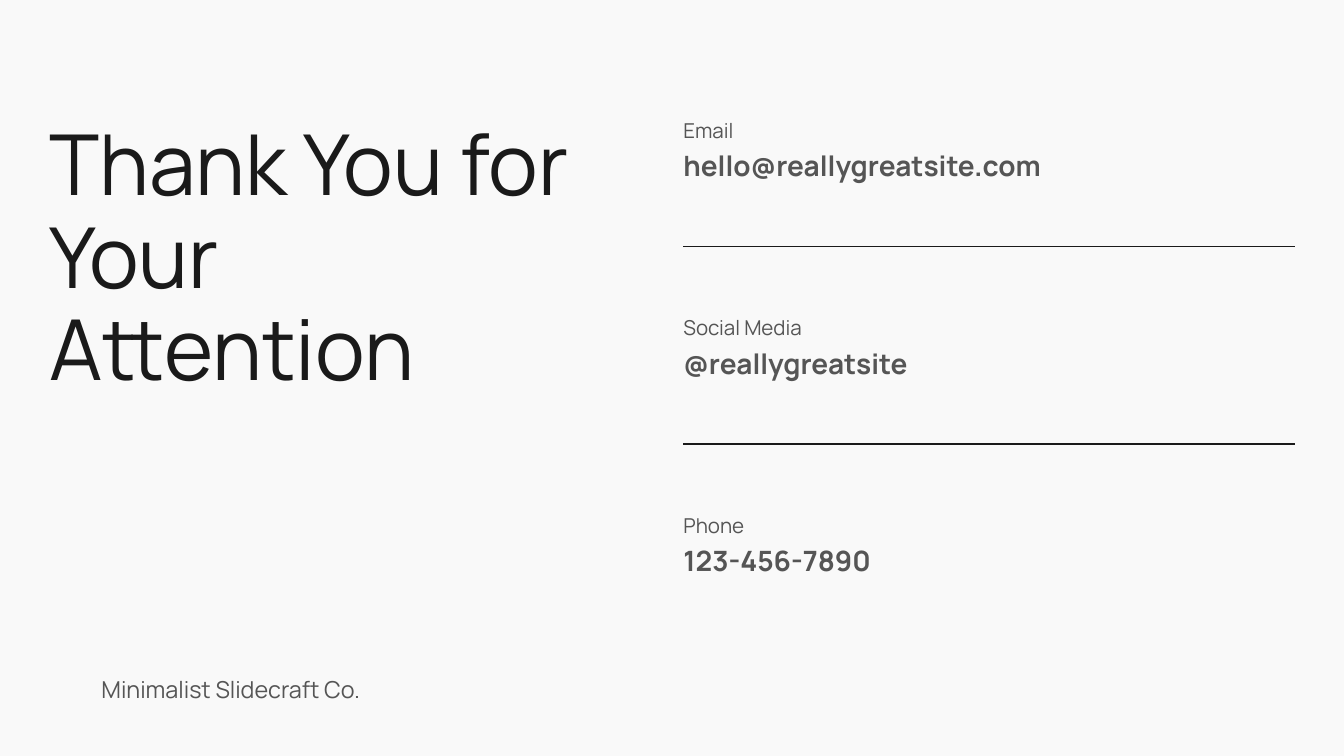
from dataclasses import dataclass

from lxml.etree import SubElement
from pptx import Presentation
from pptx.dml.color import RGBColor
from pptx.enum.shapes import MSO_CONNECTOR
from pptx.enum.text import MSO_ANCHOR, MSO_AUTO_SIZE, PP_ALIGN
from pptx.oxml.ns import qn
from pptx.util import Inches, Pt


@dataclass(frozen=True)
class Style:
    size: float
    leading: float
    color: RGBColor
    bold: bool = False


class Theme:
    font = "Manrope"
    paper = RGBColor(0xF9, 0xF9, 0xF9)
    ink = RGBColor(0x1A, 0x1A, 0x1A)
    gray = RGBColor(0x55, 0x55, 0x55)
    rule_width = Pt(1.5)
    title = Style(90, 99, ink)
    label = Style(22, 30.8, gray)
    value = Style(30, 42, gray, bold=True)
    footer = Style(25, 27.5, gray)


# Grid in inches: two columns inside equal margins, three contact rows
WIDTH, HEIGHT = 20, 11.25
MARGIN = 0.73
CONTACT_LEFT = 10.17
CONTACT_WIDTH = WIDTH - MARGIN - CONTACT_LEFT
FIRST_ROW = 1.69
ROW_PITCH = 2.94
VALUE_OFFSET = 0.44
RULE_OFFSET = 1.98

CONTACTS = [
    ("Email", "hello@reallygreatsite.com"),
    ("Social Media", "@reallygreatsite"),
    ("Phone", "123-456-7890"),
]


def place(shape, left, top, width, height):
    shape.left, shape.top = Inches(left), Inches(top)
    shape.width, shape.height = Inches(width), Inches(height)


def write(shape, text, style):
    """Set left-aligned text without insets in the given style."""
    frame = shape.text_frame
    frame.text = text
    frame.word_wrap = True
    frame.auto_size = MSO_AUTO_SIZE.NONE
    frame.vertical_anchor = MSO_ANCHOR.TOP
    frame.margin_left = frame.margin_right = 0
    frame.margin_top = frame.margin_bottom = 0
    paragraph = frame.paragraphs[0]
    paragraph.alignment = PP_ALIGN.LEFT
    paragraph.line_spacing = Pt(style.leading)
    font = paragraph.runs[0].font
    font.name = Theme.font
    font.size = Pt(style.size)
    font.bold = style.bold
    font.color.rgb = style.color


def add_title(slide, text):
    title = slide.shapes.title
    place(title, MARGIN, 1.79, 7.86, 4.17)
    write(title, text, Theme.title)


def add_text(slide, text, style, left, top, width, height):
    box = slide.shapes.add_textbox(0, 0, 0, 0)
    place(box, left, top, width, height)
    write(box, text, style)


def add_contact(slide, row, label, value):
    top = FIRST_ROW + row * ROW_PITCH
    add_text(slide, label, Theme.label, CONTACT_LEFT, top, CONTACT_WIDTH, 0.41)
    add_text(slide, value, Theme.value, CONTACT_LEFT, top + VALUE_OFFSET,
             CONTACT_WIDTH, 0.55)


def add_rule(slide, row):
    """Draw the divider below a contact row."""
    y = Inches(FIRST_ROW + row * ROW_PITCH + RULE_OFFSET)
    rule = slide.shapes.add_connector(
        MSO_CONNECTOR.STRAIGHT, Inches(CONTACT_LEFT), y, Inches(WIDTH - MARGIN), y)
    rule.line.color.rgb = Theme.ink
    rule.line.width = Theme.rule_width
    SubElement(rule.element.spPr, qn("a:effectLst"))


def main():
    deck = Presentation()
    deck.slide_width, deck.slide_height = Inches(WIDTH), Inches(HEIGHT)
    slide = deck.slides.add_slide(deck.slide_layouts.get_by_name("Title Only"))
    slide.background.fill.solid()
    slide.background.fill.fore_color.rgb = Theme.paper

    # Closing message
    add_title(slide, "Thank You for Your Attention")

    # Contact rows with dividers between them
    for row, (label, value) in enumerate(CONTACTS):
        add_contact(slide, row, label, value)
        if row < len(CONTACTS) - 1:
            add_rule(slide, row)

    # Company name
    add_text(slide, "Minimalist Slidecraft Co.", Theme.footer, 1.51, 10.08, 5.22, 0.4)

    deck.save("out.pptx")


if __name__ == "__main__":
    main()
